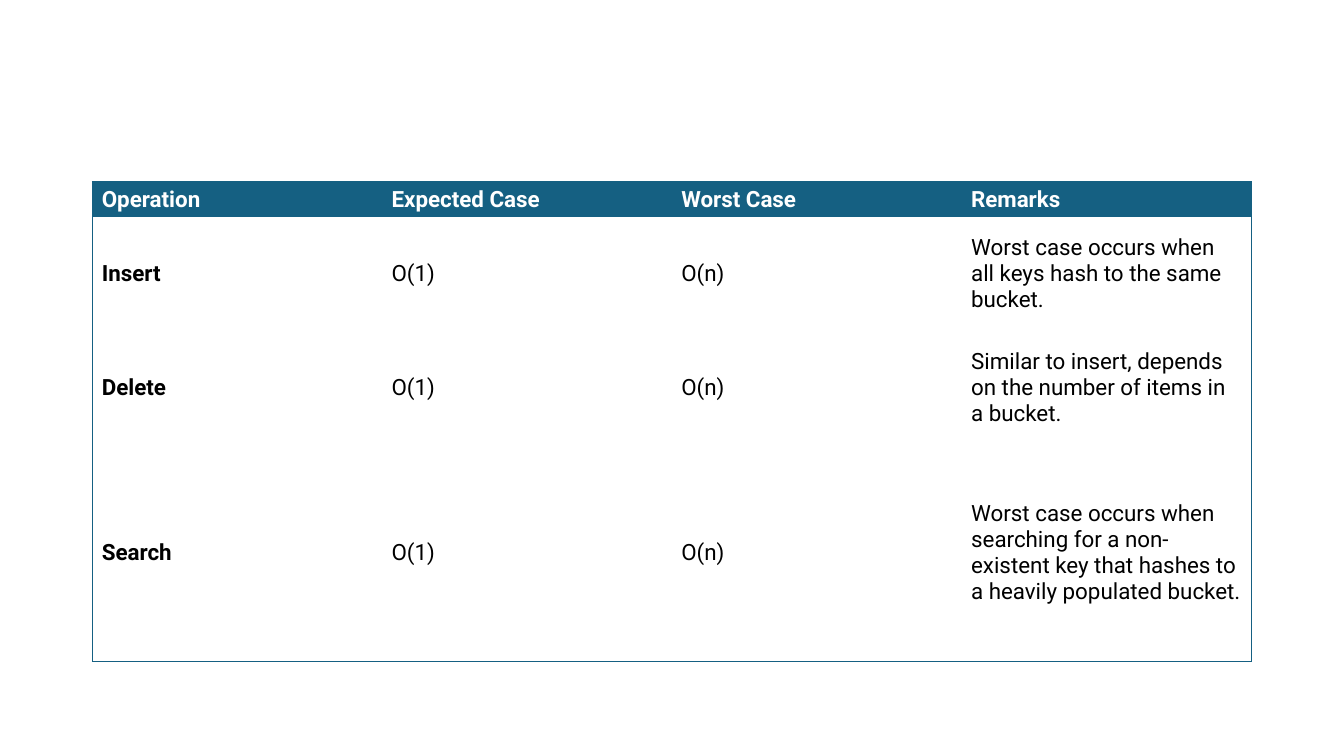
from dataclasses import dataclass

import lxml.etree
import pptx
import pptx.dml.color
import pptx.enum.text
import pptx.oxml.ns
import pptx.table
import pptx.util

SCALE = 9525
ANCHOR = pptx.enum.text.MSO_ANCHOR


@dataclass(frozen=True)
class Theme:
    font: str = "Roboto"
    size: int = 16
    blue: str = "156082"
    white: str = "FFFFFF"
    black: str = "000000"
    line: int = 1


@dataclass(frozen=True)
class Row:
    height: int
    texts: tuple[str, ...]


THEME = Theme()
LEFT, TOP, WIDTH = 88, 173, 276
ROWS = (
    Row(34, ("Operation", "Expected Case", "Worst Case", "Remarks")),
    Row(108, ("Insert", "O(1)", "O(n)",
              "Worst case occurs when all keys hash to the same bucket.")),
    Row(108, ("Delete", "O(1)", "O(n)",
              "Similar to insert, depends on the number of items in a bucket.")),
    Row(207, ("Search", "O(1)", "O(n)",
              "Worst case occurs when searching for a non-existent key "
              "that hashes to a heavily populated bucket.")),
)


def px(count: int) -> pptx.util.Emu:
    return pptx.util.Emu(count * SCALE)


def color(code: str) -> pptx.dml.color.RGBColor:
    return pptx.dml.color.RGBColor.from_string(code)


def add_edge(cell: pptx.table._Cell, side: str, shown: bool) -> None:
    qn = pptx.oxml.ns.qn
    props = cell._tc.get_or_add_tcPr()
    width = pptx.util.Pt(THEME.line) if shown else 0
    edge = lxml.etree.SubElement(props, qn(f"a:ln{side}"), w=str(int(width)))
    if shown:
        fill = lxml.etree.SubElement(edge, qn("a:solidFill"))
        lxml.etree.SubElement(fill, qn("a:srgbClr"), val=THEME.blue)
    else:
        lxml.etree.SubElement(edge, qn("a:noFill"))


def fill_cell(cell: pptx.table._Cell, text: str, row: int, col: int) -> None:
    head = row == 0
    outer = {
        "L": col == 0,
        "R": col == len(ROWS[0].texts) - 1,
        "T": head,
        "B": row == len(ROWS) - 1,
    }
    for side, shown in outer.items():
        add_edge(cell, side, shown)
    if head:
        cell.fill.solid()
        cell.fill.fore_color.rgb = color(THEME.blue)
    else:
        cell.fill.background()
    cell.margin_left = cell.margin_right = px(9)
    cell.margin_top = cell.margin_bottom = px(4)
    cell.vertical_anchor = ANCHOR.BOTTOM if head else ANCHOR.MIDDLE
    run = cell.text_frame.paragraphs[0].add_run()
    run.text = text
    run.font.name = THEME.font
    run.font.size = pptx.util.Pt(THEME.size)
    run.font.bold = head or col == 0
    run.font.color.rgb = color(THEME.white if head else THEME.black)


def main() -> None:
    deck = pptx.Presentation()
    deck.slide_width, deck.slide_height = px(1280), px(720)
    slide = deck.slides.add_slide(deck.slide_layouts[6])
    count = len(ROWS[0].texts)
    high = sum(row.height for row in ROWS)
    table = slide.shapes.add_table(
        len(ROWS), count, px(LEFT), px(TOP), px(WIDTH * count), px(high)
    ).table
    table.horz_banding = False
    for column in table.columns:
        column.width = px(WIDTH)
    for r, row in enumerate(ROWS):
        table.rows[r].height = px(row.height)
        for c, text in enumerate(row.texts):
            fill_cell(table.cell(r, c), text, r, c)
    deck.save("out.pptx")


if __name__ == "__main__":
    main()
